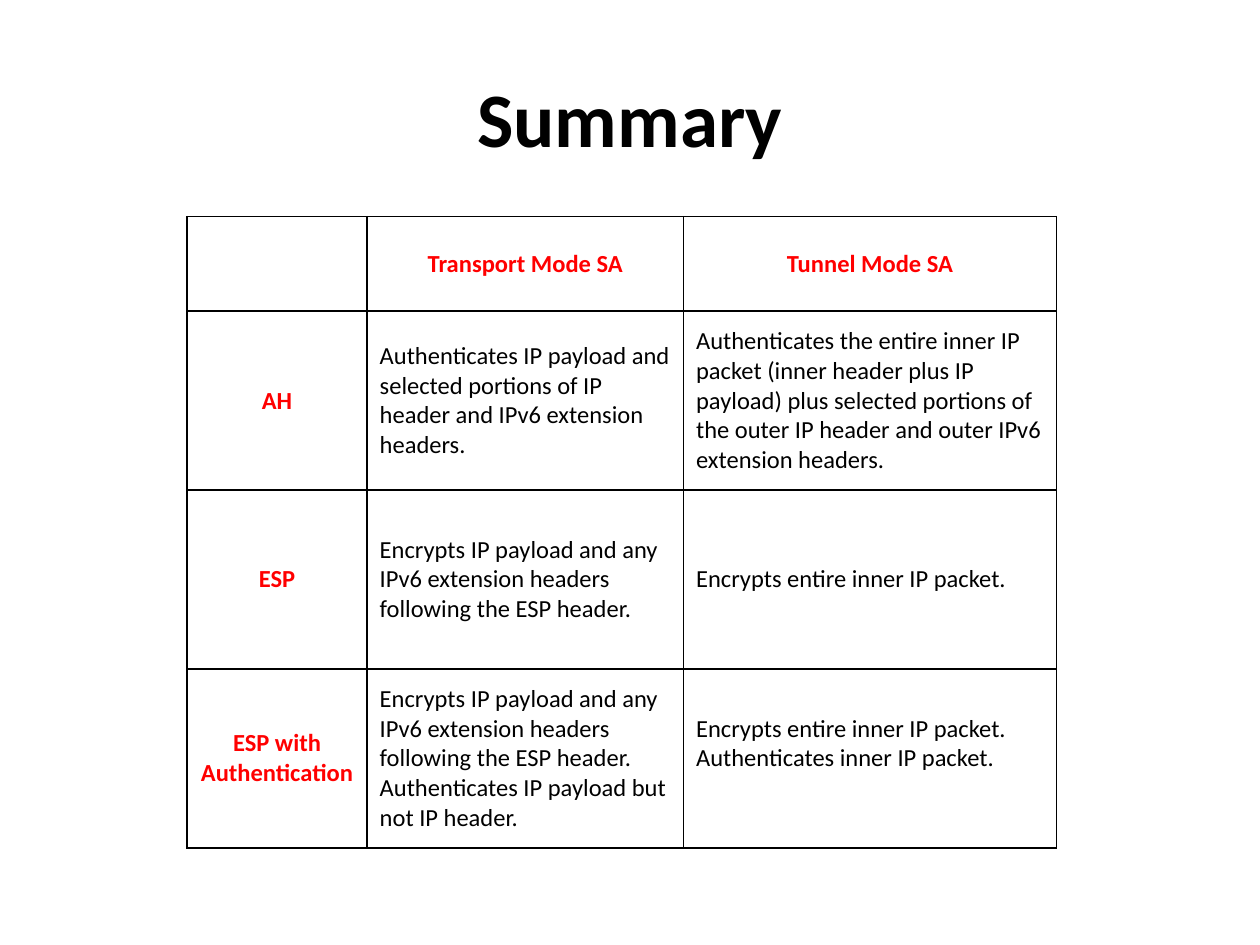
from lxml import etree
from pptx import Presentation
from pptx.dml.color import RGBColor
from pptx.enum.text import MSO_ANCHOR, PP_ALIGN
from pptx.oxml.ns import qn
from pptx.util import Pt

CENTER, LEFT = PP_ALIGN.CENTER, PP_ALIGN.LEFT
MIDDLE = MSO_ANCHOR.MIDDLE
COLORS = {"text": "000000", "heading": "FF0000", "border": "000000", "page": "FFFFFF"}
FONT = "Calibri"


def write(frame, text, size=14, color="text", bold=False, align=LEFT):
    """Fill a text frame, one paragraph for each line of text."""
    frame.text = text
    frame.word_wrap = True
    for para in frame.paragraphs:
        para.alignment = align
        for span in para.runs:
            span.font.name = FONT
            span.font.size = Pt(size)
            span.font.bold = bold
            span.font.color.rgb = RGBColor.from_string(COLORS[color])


def add_borders(cell, width=1):
    props = cell._tc.get_or_add_tcPr()
    for position, side in enumerate(("a:lnL", "a:lnR", "a:lnT", "a:lnB")):
        line = etree.Element(qn(side), w=str(Pt(width)))
        fill = etree.SubElement(line, qn("a:solidFill"))
        etree.SubElement(fill, qn("a:srgbClr"), val=COLORS["border"])
        props.insert(position, line)


deck = Presentation()
deck.slide_width, deck.slide_height = Pt(720), Pt(540)
page = deck.slides.add_slide(deck.slide_layouts[5])
page.background.fill.solid()
page.background.fill.fore_color.rgb = RGBColor.from_string(COLORS["page"])

title = page.shapes.title
title.left, title.top, title.width, title.height = Pt(36), Pt(21.6), Pt(648), Pt(90)
title.text_frame.vertical_anchor = MIDDLE
write(title.text_frame, "Summary", size=44, bold=True, align=CENTER)

ROWS = [
    ["", "Transport Mode SA", "Tunnel Mode SA"],
    ["AH",
     "Authenticates IP payload and selected portions of IP header and IPv6 extension headers.",
     "Authenticates the entire inner IP packet (inner header plus IP payload) plus selected "
     "portions of the outer IP header and outer IPv6 extension headers."],
    ["ESP",
     "Encrypts IP payload and any IPv6 extension headers following the ESP header.",
     "Encrypts entire inner IP packet."],
    ["ESP with Authentication",
     "Encrypts IP payload and any IPv6 extension headers following the ESP header.\n"
     "Authenticates IP payload but not IP header.",
     "Encrypts entire inner IP packet. Authenticates inner IP packet."],
]
WIDTHS = [103, 180.8, 213.2]
HEIGHTS = [54] + [102.25] * 3

table = page.shapes.add_table(len(ROWS), len(WIDTHS), Pt(106.8), Pt(123.8),
                              Pt(sum(WIDTHS)), Pt(sum(HEIGHTS))).table
table.first_row = table.horz_banding = False
for column, width in zip(table.columns, WIDTHS):
    column.width = Pt(width)
for row, height in zip(table.rows, HEIGHTS):
    row.height = Pt(height)

for r, texts in enumerate(ROWS):
    for c, text in enumerate(texts):
        cell = table.cell(r, c)
        cell.vertical_anchor = MIDDLE
        cell.fill.background()
        add_borders(cell)
        if r == 0 or c == 0:
            write(cell.text_frame, text, color="heading", bold=True, align=CENTER)
        else:
            write(cell.text_frame, text)

# The last cell's text sits half a line above the middle.
table.cell(3, 2).margin_bottom = Pt(20.6)

deck.save("out.pptx")
